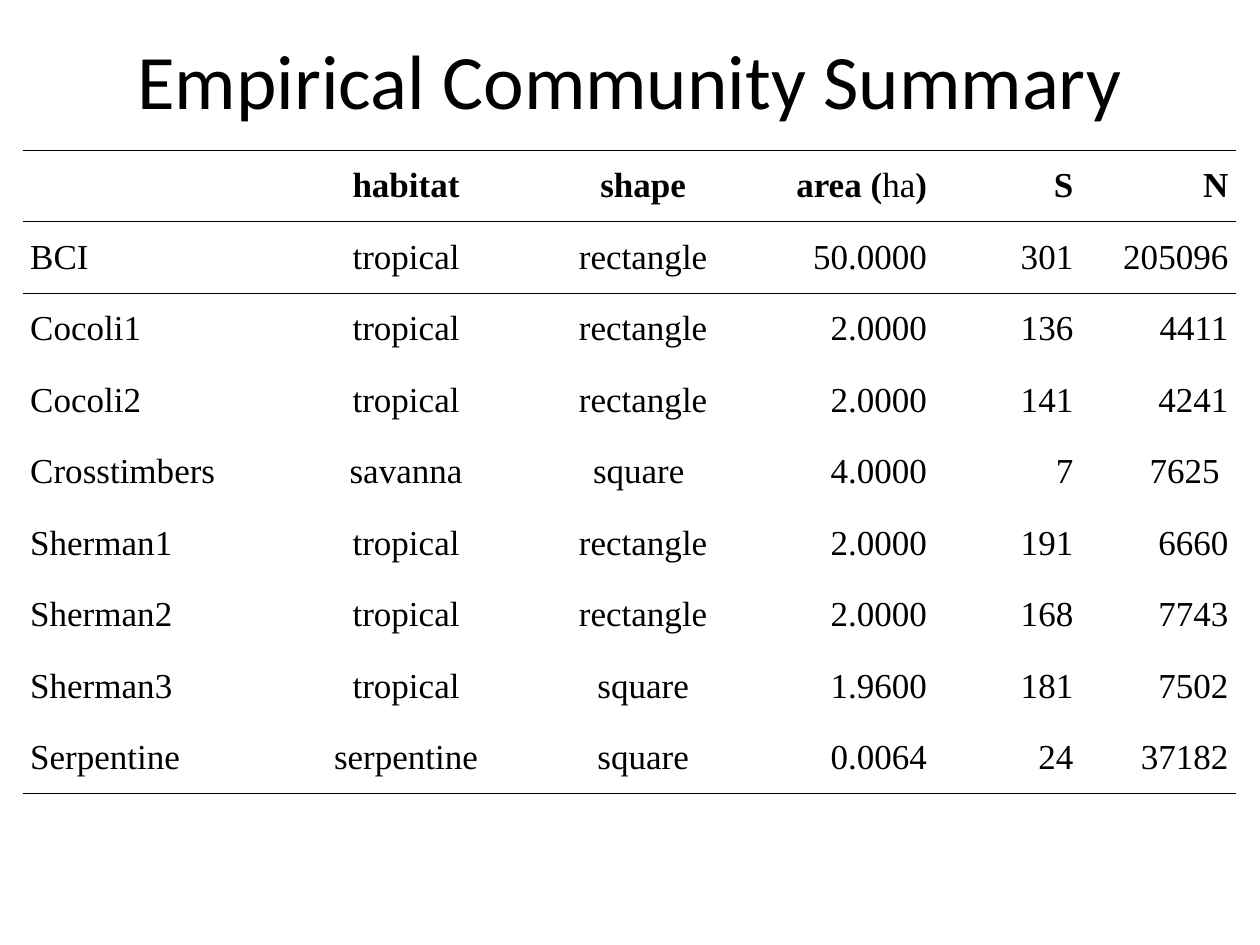
from lxml import etree
from pptx import Presentation
from pptx.dml.color import RGBColor
from pptx.enum.text import MSO_ANCHOR, PP_ALIGN
from pptx.oxml.ns import qn
from pptx.util import Inches, Pt

LEFT, CENTER, RIGHT = PP_ALIGN.LEFT, PP_ALIGN.CENTER, PP_ALIGN.RIGHT
MIDDLE = MSO_ANCHOR.MIDDLE
COLORS = {"ink": "000000"}
PLAIN_TABLE_STYLE = "{2D5ABB26-0587-4C30-8999-92F81FD0307C}"
TITLE_ONLY = 5
RULE_WIDTH = Pt(0.45)

SLIDE_WIDTH, SLIDE_HEIGHT = Inches(10), Inches(7.5)
TITLE_BOX = (0.05, 0, 0.9, 0.167)  # shares of the slide
TABLE_BOX = (0.018, 0.159, 0.963, 0.681)

COLUMN_WIDTHS = [2.1, 1.88, 1.88, 1.37, 1.16, 1.23]
COLUMN_ALIGNMENTS = [LEFT, CENTER, CENTER, RIGHT, RIGHT, RIGHT]
# Each heading is a list of (text, bold) runs.
HEADINGS = [
    [],
    [("habitat", True)],
    [("shape", True)],
    [("area (", True), ("ha", False), (")", True)],
    [("S", True)],
    [("N", True)],
]
COMMUNITIES = [
    ("BCI", "tropical", "rectangle", "50.0000", "301", "205096"),
    ("Cocoli1", "tropical", "rectangle", "2.0000", "136", "4411"),
    ("Cocoli2", "tropical", "rectangle", "2.0000", "141", "4241"),
    ("Crosstimbers", "savanna", "square ", "4.0000", "7", "7625 "),
    ("Sherman1", "tropical", "rectangle", "2.0000", "191", "6660"),
    ("Sherman2", "tropical", "rectangle", "2.0000", "168", "7743"),
    ("Sherman3", "tropical", "square", "1.9600", "181", "7502"),
    ("Serpentine", "serpentine", "square", "0.0064", "24", "37182"),
]


def set_attributes(target, values):
    for name, value in values.items():
        setattr(target, name, value)


def to_lengths(box):
    """Turn shares of the slide into left, top, width and height."""
    sides = (SLIDE_WIDTH, SLIDE_HEIGHT) * 2
    return [round(share * side) for share, side in zip(box, sides)]


def add_runs(paragraph, runs, font_name, size):
    for text, bold in runs:
        run = paragraph.add_run()
        run.text = text
        set_attributes(run.font, {"name": font_name, "size": Pt(size), "bold": bold})
        run.font.color.rgb = RGBColor.from_string(COLORS["ink"])


def add_rules(cell, edges):
    """Draw cell borders; edges come in schema order, top before bottom."""
    properties = cell._tc.get_or_add_tcPr()
    for index, edge in enumerate(edges):
        line = etree.Element(qn(f"a:ln{edge}"), w=str(RULE_WIDTH))
        fill = etree.SubElement(line, qn("a:solidFill"))
        etree.SubElement(fill, qn("a:srgbClr"), val=COLORS["ink"])
        properties.insert(index, line)


def add_title(slide, box):
    title = slide.shapes.title
    left, top, width, height = to_lengths(box)
    set_attributes(title, {"left": left, "top": top, "width": width, "height": height})
    title.text_frame.vertical_anchor = MIDDLE
    paragraph = title.text_frame.paragraphs[0]
    paragraph.alignment = CENTER
    add_runs(paragraph, [("Empirical Community Summary", False)], "Calibri", 44)


def add_summary_table(slide, box):
    left, top, width, height = to_lengths(box)
    rows = [HEADINGS] + [[[(text, False)] for text in row] for row in COMMUNITIES]
    table = slide.shapes.add_table(
        len(rows), len(COLUMN_WIDTHS), left, top, width, height
    ).table
    set_attributes(table, {"first_row": False, "horz_banding": False})
    table._tbl.tblPr.find(qn("a:tableStyleId")).text = PLAIN_TABLE_STYLE
    for column, share in zip(table.columns, COLUMN_WIDTHS):
        column.width = round(width * share / sum(COLUMN_WIDTHS))

    rules = {0: "TB", 1: "T", len(rows) - 1: "B"}
    cell_format = {
        "margin_left": Inches(0.06),
        "margin_right": Inches(0.06),
        "margin_top": Inches(0.05),
        "margin_bottom": Inches(0.05),
        "vertical_anchor": MIDDLE,
    }
    for row_index, row in enumerate(rows):
        for column_index, runs in enumerate(row):
            cell = table.cell(row_index, column_index)
            set_attributes(cell, cell_format)
            cell.fill.background()
            add_rules(cell, rules.get(row_index, ""))
            paragraph = cell.text_frame.paragraphs[0]
            paragraph.alignment = COLUMN_ALIGNMENTS[column_index]
            add_runs(paragraph, runs, "Times New Roman", 20)


def main():
    presentation = Presentation()
    set_attributes(
        presentation, {"slide_width": SLIDE_WIDTH, "slide_height": SLIDE_HEIGHT}
    )
    slide = presentation.slides.add_slide(presentation.slide_layouts[TITLE_ONLY])
    add_title(slide, TITLE_BOX)
    add_summary_table(slide, TABLE_BOX)
    presentation.save("out.pptx")


if __name__ == "__main__":
    main()
